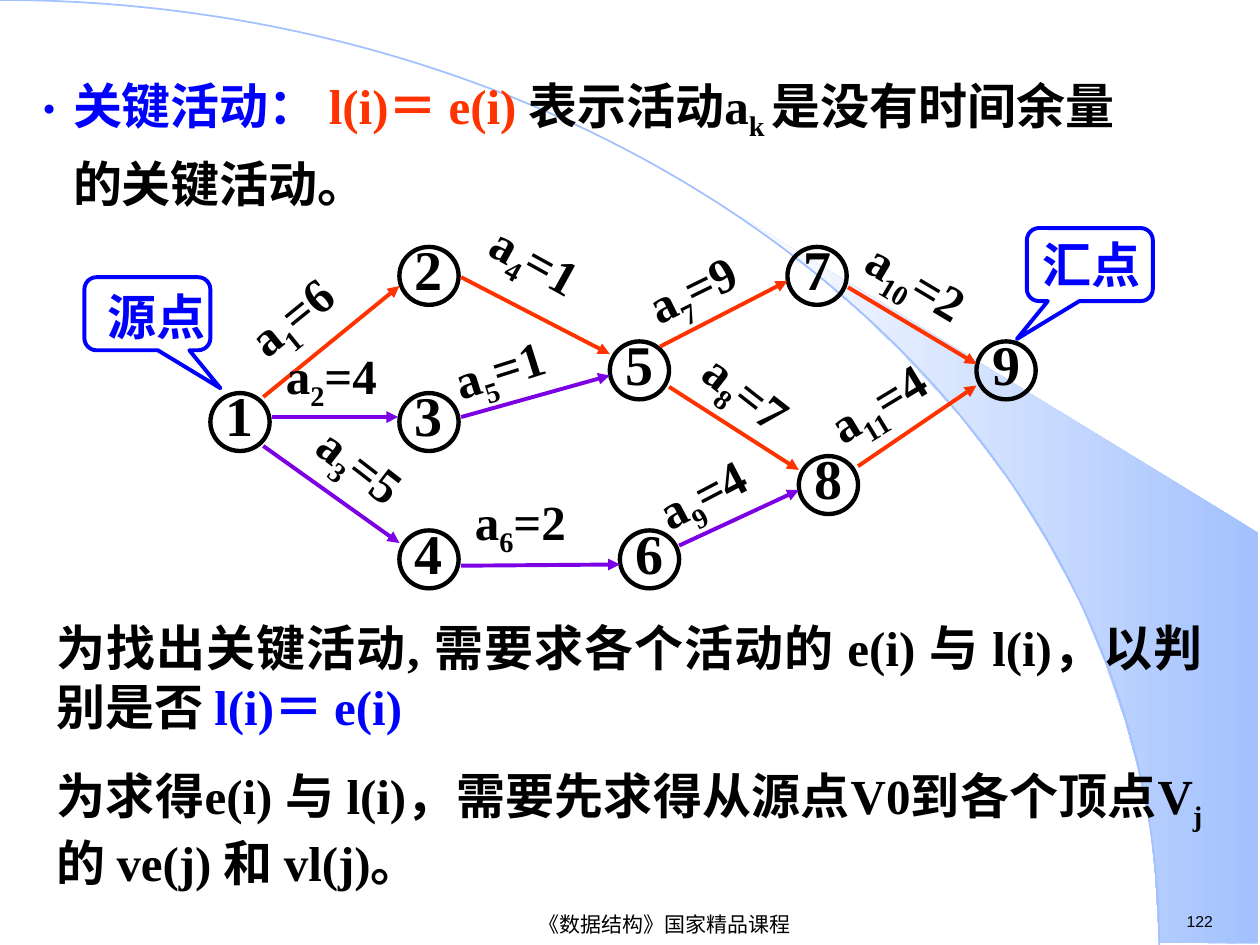
from pptx import Presentation
from pptx.dml.color import RGBColor
from pptx.enum.shapes import MSO_CONNECTOR, MSO_SHAPE
from pptx.enum.text import MSO_ANCHOR, MSO_AUTO_SIZE, PP_ALIGN
from pptx.oxml.ns import qn
from pptx.util import Inches, Pt
from lxml.etree import SubElement

BLACK = RGBColor(0x00, 0x00, 0x00)
BLUE = RGBColor(0x00, 0x00, 0xFF)
RED = RGBColor(0xFF, 0x33, 0x00)
PURPLE = RGBColor(0x7B, 0x00, 0xE4)
SKY = RGBColor(0xA2, 0xC1, 0xFE)
PALE = RGBColor(0xFE, 0xFE, 0xFE)
SERIF, SANS = "Times New Roman", "Arial"

SWOOSH = [(9.2, 7.48), (9.99, 7.49), (9.99, 4.23), (5.89, 1.73), (6.24, 1.99),
          (6.53, 2.22), (6.85, 2.5), (7.16, 2.8), (7.62, 3.3), (8.03, 3.84),
          (8.32, 4.31), (8.58, 4.79), (8.78, 5.28), (8.93, 5.72),
          (9.03, 6.09), (9.13, 6.56), (9.17, 6.96)]

NODES = [(1, 1.31), (2.5, 0.15), (2.5, 1.31), (2.5, 2.4), (4.17, 0.9),
         (4.25, 2.4), (5.58, 0.15), (5.67, 1.81), (7.08, 0.9)]

ACTIVITIES = [
    (6, (1.14, 0.25), -39.1, (1.42, 1.34), (2.5, 0.46), RED),
    (4, (1.5, 0.88), 0, (1.49, 1.5), (2.49, 1.5), PURPLE),
    (5, (1.67, 1.74), 37.7, (1.42, 1.73), (2.5, 2.5), PURPLE),
    (1, (3.08, 0.08), 28.9, (2.99, 0.39), (4.17, 1), RED),
    (1, (2.83, 0.75), -17.6, (2.99, 1.5), (4.17, 1.17), PURPLE),
    (2, (3, 2.04), 0, (2.99, 2.68), (4.25, 2.67), PURPLE),
    (9, (4.35, 0.08), -26.2, (4.57, 0.94), (5.58, 0.42), RED),
    (7, (4.73, 1.16), 38, (4.64, 1.26), (5.67, 1.92), RED),
    (4, (4.43, 1.7), -27.6, (4.72, 2.52), (5.67, 2.08), PURPLE),
    (2, (6.05, 0.23), 30.9, (6.06, 0.47), (7.08, 1.08), RED),
    (4, (5.77, 0.99), -31.2, (6.14, 1.89), (7.08, 1.25), RED),
]


def add_run(p, text, size=28, font=SERIF, color=BLACK, bold=True, sub=False):
    r = p.add_run()
    r.text = text
    r.font.size, r.font.name, r.font.bold = Pt(size), font, bold
    r.font.color.rgb = color
    if sub:
        r.font._element.set("baseline", "-25000")


def add_textbox(slide, left, top, width, height, anchor=MSO_ANCHOR.TOP):
    box = slide.shapes.add_textbox(left, top, width, height)
    box.text_frame.word_wrap = True
    box.text_frame.vertical_anchor = anchor
    return box


def add_outline(slide, shape, box, color, width):
    sp = slide.shapes.add_shape(shape, *box)
    sp.shadow.inherit = False
    sp.fill.background()
    sp.line.color.rgb, sp.line.width = color, Pt(width)
    return sp


def add_arrow(slide, start, end, color):
    line = slide.shapes.add_connector(MSO_CONNECTOR.STRAIGHT, *start, *end)
    line.line.color.rgb, line.line.width = color, Pt(2.25)
    SubElement(line.line._get_or_add_ln(), qn("a:tailEnd"), type="triangle")
    SubElement(line._element.spPr, qn("a:effectLst"))


def add_background(slide, left, top, width, height):
    points = [(left + Inches(x), top + Inches(y)) for x, y in SWOOSH]
    builder = slide.shapes.build_freeform(*points[0])
    builder.add_line_segments(points[1:], close=True)
    swoosh = builder.convert_to_shape()
    swoosh.shadow.inherit = False
    swoosh.fill.gradient()
    swoosh.fill.gradient_angle = 180
    for stop, position, color in zip(swoosh.fill.gradient_stops, (0, 1), (SKY, PALE)):
        stop.position, stop.color.rgb = position, color
    swoosh.line.fill.background()
    reach = Inches(9.2)
    add_outline(slide, MSO_SHAPE.ARC, (left - reach, top, 2 * reach, 2 * height), SKY, 1)


def add_footer(slide, left, top, width, height):
    number = add_textbox(slide, left + Inches(6.92), top, Inches(0.77), height)
    add_run(number.text_frame.paragraphs[0], "122", size=9, font=SANS, bold=False)
    course = add_textbox(slide, left, top + Inches(0.02), Inches(5.75), height,
                         MSO_ANCHOR.MIDDLE)
    p = course.text_frame.paragraphs[0]
    p.alignment = PP_ALIGN.CENTER
    add_run(p, "《数据结构》国家精品课程", size=12, font=SANS, bold=False)


def add_definition(slide, left, top, width, height):
    body = slide.placeholders[1]
    slide.shapes._spTree.append(body._element)
    body.left, body.top, body.width, body.height = left, top, width, height
    tf = body.text_frame
    tf.auto_size, tf.vertical_anchor = MSO_AUTO_SIZE.NONE, MSO_ANCHOR.TOP
    p = tf.paragraphs[0]
    p.line_spacing, p.space_before = 1.2, Pt(0)
    pPr = p._p.get_or_add_pPr()
    pPr.set("marL", str(Inches(0.28)))
    pPr.set("indent", str(-Inches(0.24)))
    SubElement(SubElement(pPr, qn("a:buClr")), qn("a:srgbClr"), val=str(BLUE))
    SubElement(pPr, qn("a:buSzPct"), val="43000")
    SubElement(pPr, qn("a:buFont"), typeface=SERIF)
    SubElement(pPr, qn("a:buChar"), char="●")
    add_run(p, "关键活动： ", color=BLUE)
    add_run(p, "l(i)＝ e(i) ", color=RED)
    add_run(p, "表示活动a")
    add_run(p, "k ", sub=True)
    add_run(p, "是没有时间余量的关键活动。")


def add_explanation(slide, left, top, width, height):
    tf = add_textbox(slide, left, top, width, height).text_frame
    p = tf.paragraphs[0]
    p.alignment = PP_ALIGN.JUSTIFY
    add_run(p, "为找出关键活动, 需要求各个活动的 e(i) 与 l(i)，以判别是否 ")
    add_run(p, "l(i)＝ e(i)", color=BLUE)
    p = tf.add_paragraph()
    p.alignment, p.space_before = PP_ALIGN.JUSTIFY, Pt(17.5)
    add_run(p, "为求得e(i) 与 l(i)，需要先求得从源点V0到各个顶点V")
    add_run(p, "j ", sub=True)
    add_run(p, "的 ve(j) 和 vl(j)。")


def add_inner_text(sp, text, anchor, left=0, top=0, bottom=0, **fmt):
    tf = sp.text_frame
    tf.word_wrap, tf.vertical_anchor = False, anchor
    tf.margin_left, tf.margin_right = Inches(left), 0
    tf.margin_top, tf.margin_bottom = Inches(top), Inches(bottom)
    p = tf.paragraphs[0]
    p.alignment = PP_ALIGN.CENTER
    add_run(p, text, **fmt)


def add_network(slide, left, top):
    def at(point):
        return left + Inches(point[0]), top + Inches(point[1])

    for number, corner in enumerate(NODES, 1):
        box = (*at(corner), Inches(0.47), Inches(0.46))
        node = add_outline(slide, MSO_SHAPE.OVAL, box, BLACK, 2.5)
        add_inner_text(node, str(number), MSO_ANCHOR.MIDDLE, bottom=0.12, size=32)

    for number, (cost, corner, angle, start, end, color) in enumerate(ACTIVITIES, 1):
        add_arrow(slide, at(start), at(end), color)
        label = add_textbox(slide, *at(corner), Inches(1.42), Inches(0.63))
        label.rotation = angle
        p = label.text_frame.paragraphs[0]
        add_run(p, "a")
        add_run(p, str(number), sub=True)
        add_run(p, f"={cost}")

    for text, corner, tip, inset_left, inset_top in [
            ("汇点", (7.48, 0), -0.58, 0.03, 0.02), ("源点", (0, 0.39), 0.58, 0.15, 0.05)]:
        box = (*at(corner), Inches(1), Inches(0.58))
        callout = add_outline(slide, MSO_SHAPE.ROUNDED_RECTANGULAR_CALLOUT, box, BLUE, 2.25)
        callout.adjustments[0], callout.adjustments[1] = tip, 1.02
        add_inner_text(callout, text, MSO_ANCHOR.TOP, left=inset_left, top=inset_top,
                       color=BLUE)


def main():
    prs = Presentation()
    prs.slide_width, prs.slide_height = Inches(10), Inches(7.5)
    slide = prs.slides.add_slide(prs.slide_layouts[1])
    title = slide.shapes.title._element
    title.getparent().remove(title)
    add_background(slide, 0, 0, prs.slide_width, prs.slide_height)
    add_footer(slide, Inches(2.4), Inches(7.19), Inches(7.69), Inches(0.25))
    add_definition(slide, Inches(0.2), Inches(0.44), Inches(8.98), Inches(1.5))
    add_explanation(slide, Inches(0.35), Inches(4.85), Inches(9.29), Inches(2.28))
    add_network(slide, Inches(0.67), Inches(1.81))
    prs.save("out.pptx")


if __name__ == "__main__":
    main()
